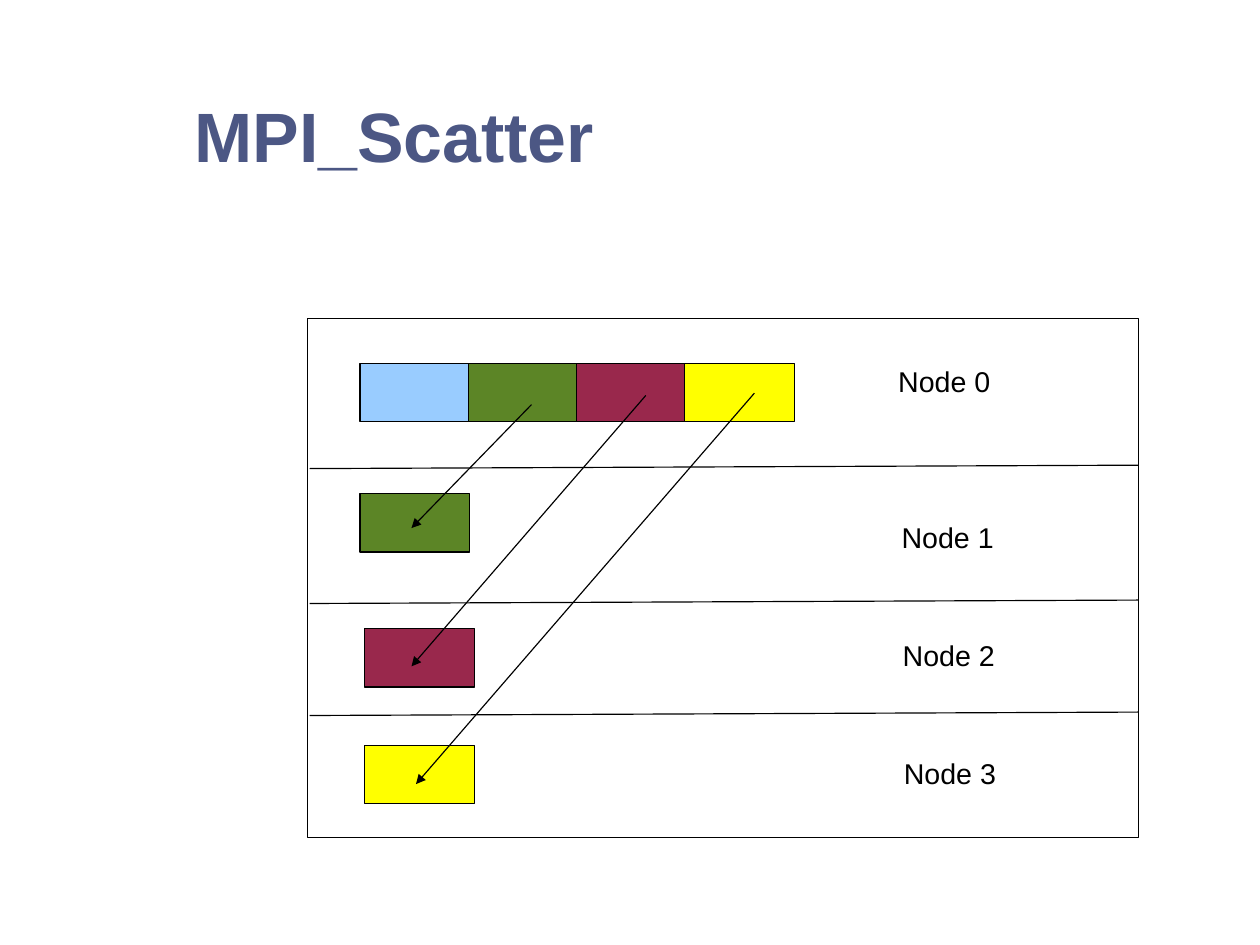
from dataclasses import dataclass

from lxml import etree
from pptx import Presentation
from pptx import util as u
from pptx.dml.color import RGBColor
from pptx.enum import shapes, text
from pptx.oxml.ns import qn


@dataclass(frozen=True)
class Theme:
    font: str = "Arial"
    title_size: float = 44
    label_size: float = 18
    line_width: float = 0.75
    line_spacing: float = 0.93
    title: str = "4C5784"
    ink: str = "000000"
    blue: str = "99CCFF"
    green: str = "5C8526"
    red: str = "99284C"
    yellow: str = "FFFF00"


class SlideBuilder:
    def __init__(self, slide, theme):
        self.slide = slide
        self.theme = theme

    def style_line(self, line):
        line.color.rgb = RGBColor.from_string(self.theme.ink)
        line.width = u.Pt(self.theme.line_width)

    def box(self, left, top, width, height, fill=None):
        sp = self.slide.shapes.add_shape(
            shapes.MSO_SHAPE.ROUNDED_RECTANGLE,
            u.Inches(left), u.Inches(top), u.Inches(width), u.Inches(height))
        sp.adjustments[0] = 0
        sp.shadow.inherit = False
        if fill:
            sp.fill.solid()
            sp.fill.fore_color.rgb = RGBColor.from_string(fill)
        else:
            sp.fill.background()
        self.style_line(sp.line)

    def line(self, start, end, arrow=False):
        cxn = self.slide.shapes.add_connector(
            shapes.MSO_CONNECTOR.STRAIGHT,
            *(u.Inches(v) for v in (*start, *end)))
        self.style_line(cxn.line)
        sp_pr = cxn._element.spPr
        if arrow:
            etree.SubElement(sp_pr.find(qn("a:ln")), qn("a:tailEnd"), type="triangle")
        etree.SubElement(sp_pr, qn("a:effectLst"))

    def text(self, content, left, top, width, height, size, color,
             bold=False, inset=(0.1, 0.05), anchor=text.MSO_ANCHOR.TOP):
        sp = self.slide.shapes.add_textbox(
            u.Inches(left), u.Inches(top), u.Inches(width), u.Inches(height))
        tf = sp.text_frame
        tf.text = content
        tf.word_wrap = True
        tf.vertical_anchor = anchor
        tf.margin_left = tf.margin_right = u.Inches(inset[0])
        tf.margin_top = tf.margin_bottom = u.Inches(inset[1])
        p = tf.paragraphs[0]
        p.line_spacing = self.theme.line_spacing
        r = p.runs[0]
        r.font.name = self.theme.font
        r.font.size = u.Pt(size)
        r.font.bold = bold
        r.font.color.rgb = RGBColor.from_string(color)


def main():
    prs = Presentation()
    prs.slide_width = u.Inches(28 / 2.54)
    prs.slide_height = u.Inches(21 / 2.54)
    theme = Theme()
    b = SlideBuilder(prs.slides.add_slide(prs.slide_layouts[6]), theme)

    b.text("MPI_Scatter", 1.7, 0.88, 9.22, 0.68, theme.title_size, theme.title,
           bold=True, inset=(0, 0), anchor=text.MSO_ANCHOR.MIDDLE)
    b.box(2.69, 2.79, 7.27, 4.54)

    block = (0.96, 0.51)
    send_buffer = (theme.blue, theme.green, theme.red, theme.yellow)
    first, last = 3.15, 5.99
    pitch = (last - first) / (len(send_buffer) - 1)
    for i, color in enumerate(send_buffer):
        b.box(first + pitch * i, 3.18, *block, color)

    for y in (4.1, 5.28, 6.26):
        b.line((2.71, y), (9.96, y - 0.03))

    received = ((3.15, 4.32), (3.19, 5.5), (3.19, 6.52))
    for corner, color in zip(received, send_buffer[1:]):
        b.box(*corner, *block, color)

    transfers = (((4.65, 3.54), (3.6, 4.62)),
                 ((5.65, 3.46), (3.6, 5.83)),
                 ((6.6, 3.44), (3.64, 6.86)))
    for start, end in transfers:
        b.line(start, end, arrow=True)

    labels = ((7.76, 3.16), (7.79, 4.53), (7.8, 5.56), (7.81, 6.59))
    for rank, corner in enumerate(labels):
        b.text(f"Node {rank}", *corner, 1.8, 0.38, theme.label_size, theme.ink)

    prs.save("out.pptx")


if __name__ == "__main__":
    main()
